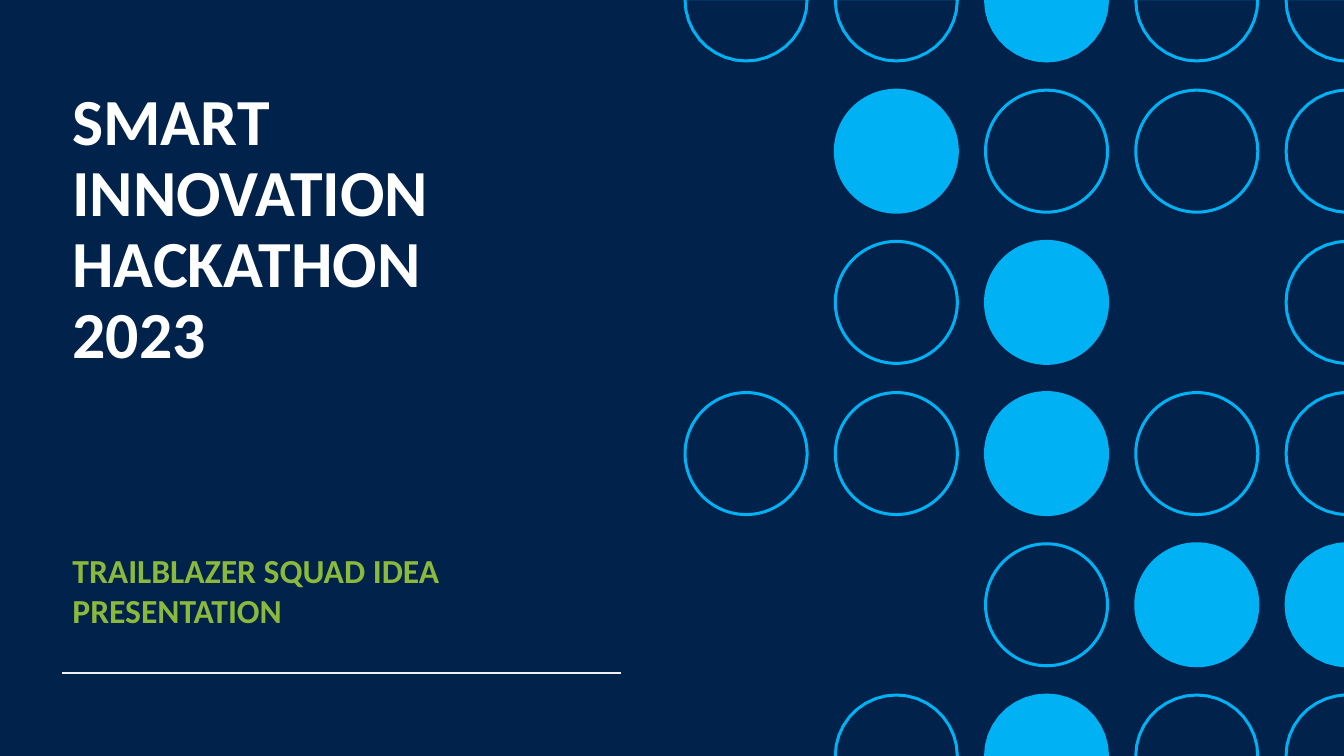
import math

import lxml.etree
import pptx
import pptx.dml.color
import pptx.enum.shapes
import pptx.enum.text
import pptx.oxml.ns
import pptx.util

COLORS = {
    "navy": "00224B",
    "sky": "00B2F3",
    "white": "FFFFFF",
    "green": "8BB93B",
    "rule": "EFF0EF",
}
FONT = "Calibri"
SLIDE_WIDTH = pptx.util.Inches(13.33)
SLIDE_HEIGHT = pptx.util.Inches(7.5)

DOT_ROWS = [
    "oo#oo",
    ".#ooo",
    ".o#.o",
    "oo#oo",
    "..o##",
    ".o#oo",
]
ROW_PITCH = SLIDE_HEIGHT / (len(DOT_ROWS) - 1)
COLUMN_PITCH = pptx.util.Inches(1.49)
FIRST_CENTER = pptx.util.Inches(7.4)
RADIUS = pptx.util.Inches(0.62)
RING_WIDTH = pptx.util.Inches(0.03)
ARC_STEPS = 36

TEXT_LEFT = pptx.util.Inches(0.62)
TEXT_WIDTH = pptx.util.Inches(5.54)


def color(name):
    return pptx.dml.color.RGBColor.from_string(COLORS[name])


def paint(shape, name):
    shape.shadow.inherit = False
    shape.fill.solid()
    shape.fill.fore_color.rgb = color(name)
    shape.line.fill.background()


def clipped_circle(center_x, center_y, radius):
    points = []
    for step in range(ARC_STEPS):
        angle = 2 * math.pi * step / ARC_STEPS
        x = round(center_x + radius * math.cos(angle))
        y = round(center_y + radius * math.sin(angle))
        points.append((min(max(x, 0), SLIDE_WIDTH), min(max(y, 0), SLIDE_HEIGHT)))
    points = list(dict.fromkeys(points))
    neighbours = zip(points[-1:] + points[:-1], points, points[1:] + points[:1])
    return [
        point
        for before, point, after in neighbours
        if not any(before[axis] == point[axis] == after[axis] for axis in (0, 1))
    ]


def add_whole_dot(page, center_x, center_y, filled):
    kind = pptx.enum.shapes.MSO_SHAPE.OVAL if filled else pptx.enum.shapes.MSO_SHAPE.DONUT
    dot = page.shapes.add_shape(
        kind, int(center_x - RADIUS), int(center_y - RADIUS), 2 * RADIUS, 2 * RADIUS
    )
    if not filled:
        dot.adjustments[0] = RING_WIDTH / (2 * RADIUS)
    return dot


def add_clipped_dot(page, center_x, center_y, filled):
    outer = clipped_circle(center_x, center_y, RADIUS)
    builder = page.shapes.build_freeform(*outer[0])
    builder.add_line_segments(outer[1:], close=True)
    if not filled:
        inner = clipped_circle(center_x, center_y, RADIUS - RING_WIDTH)[::-1]
        builder.move_to(*inner[0])
        builder.add_line_segments(inner[1:], close=True)
    return builder.convert_to_shape()


def add_dot_grid(page):
    for row, marks in enumerate(DOT_ROWS):
        for column, mark in enumerate(marks):
            if mark == ".":
                continue
            center_x = FIRST_CENTER + column * COLUMN_PITCH
            center_y = row * ROW_PITCH
            inside = (
                center_x + RADIUS <= SLIDE_WIDTH
                and RADIUS <= center_y <= SLIDE_HEIGHT - RADIUS
            )
            add_dot = add_whole_dot if inside else add_clipped_dot
            paint(add_dot(page, center_x, center_y, mark == "#"), "sky")


def add_heading(page, text, top, height, size, color_name, anchor, line_spacing):
    box = page.shapes.add_textbox(
        TEXT_LEFT, int(top * SLIDE_HEIGHT), TEXT_WIDTH, int(height * SLIDE_HEIGHT)
    )
    frame = box.text_frame
    frame.word_wrap = True
    frame.vertical_anchor = anchor
    para = frame.paragraphs[0]
    para.text = text
    para.line_spacing = line_spacing
    for span in para.runs:
        span.font.name = FONT
        span.font.size = pptx.util.Pt(size)
        span.font.bold = True
        span.font.color.rgb = color(color_name)


def add_rule(page, height_share):
    y = int(height_share * SLIDE_HEIGHT)
    rule = page.shapes.add_connector(
        pptx.enum.shapes.MSO_CONNECTOR.STRAIGHT, TEXT_LEFT, y, TEXT_LEFT + TEXT_WIDTH, y
    )
    rule.line.color.rgb = color("rule")
    rule.line.width = pptx.util.Pt(1)
    lxml.etree.SubElement(rule.element.spPr, pptx.oxml.ns.qn("a:effectLst"))


def main():
    deck = pptx.Presentation()
    deck.slide_width = SLIDE_WIDTH
    deck.slide_height = SLIDE_HEIGHT
    page = deck.slides.add_slide(deck.slide_layouts[6])
    page.background.fill.solid()
    page.background.fill.fore_color.rgb = color("navy")

    anchors = pptx.enum.text.MSO_ANCHOR
    add_heading(
        page, "SMART INNOVATION HACKATHON\v2023",
        0.11, 0.42, 47, "white", anchors.TOP, 0.9,
    )
    add_heading(
        page, "TRAILBLAZER SQUAD IDEA PRESENTATION",
        0.62, 0.22, 24, "green", anchors.BOTTOM, 1.0,
    )
    add_rule(page, 0.89)
    add_dot_grid(page)
    deck.save("out.pptx")


if __name__ == "__main__":
    main()
